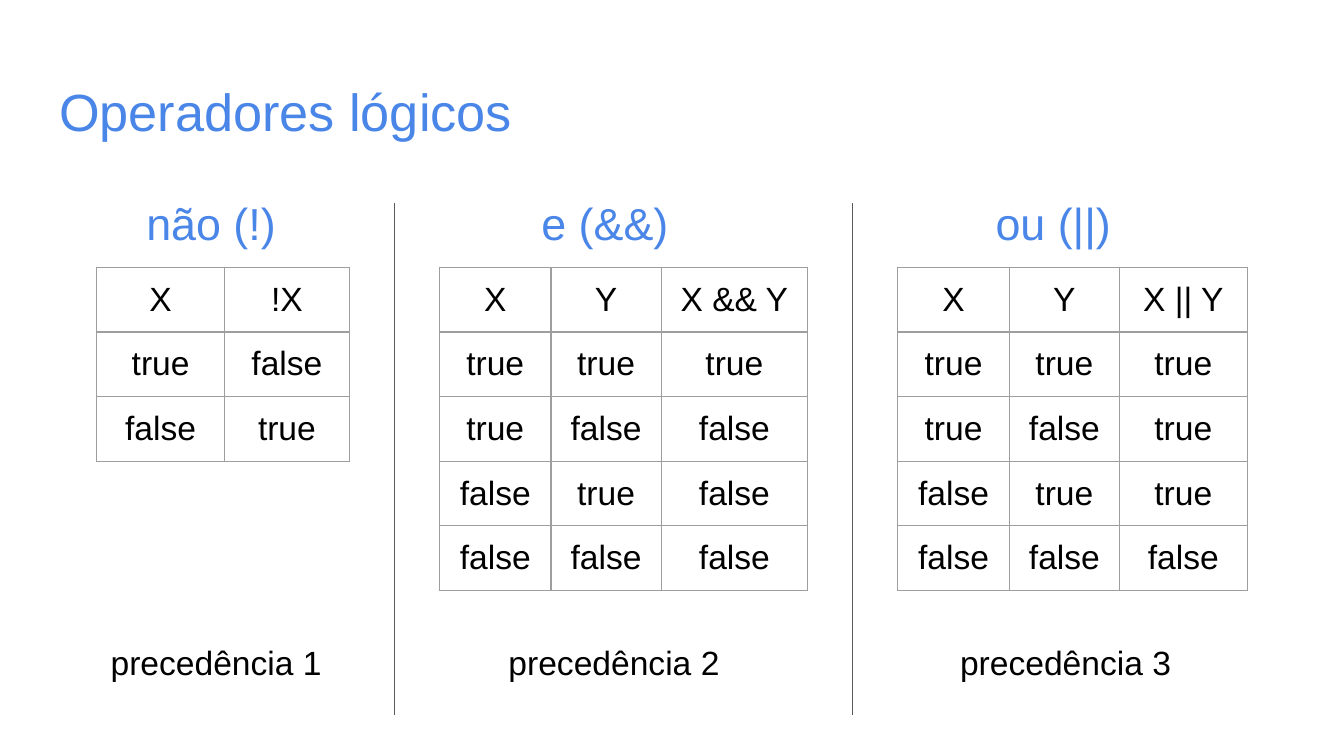
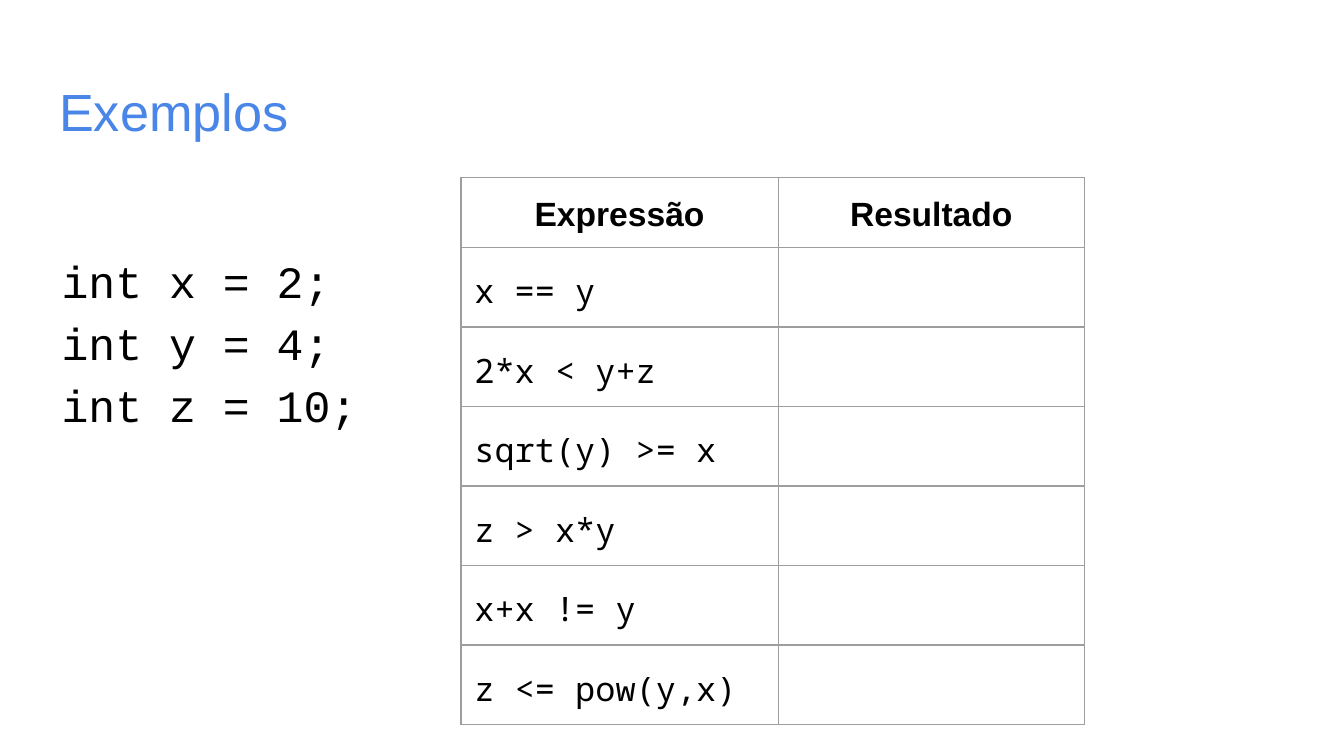
"""Builds two slides on logical operators: truth tables and expressions to evaluate."""
from lxml import etree
from pptx import Presentation
from pptx import util as u
from pptx.dml.color import RGBColor
from pptx.enum import shapes, text
from pptx.oxml.ns import qn

WIDTH = 10
HEIGHT = WIDTH * 9 / 16
INSET, ROW = 0.1, 0.42
BLUE, BLACK, RULE, BORDER = "4A86E8", "000000", "595959", "9E9E9E"
LEFT, CENTER = text.PP_ALIGN.LEFT, text.PP_ALIGN.CENTER

TITLE = {"name": "Arial", "size": 28, "bold": False, "color": BLUE}
HEADING = {**TITLE, "size": 24}
BODY = {**TITLE, "size": 18, "color": BLACK}
HEADER = {**BODY, "bold": True}
CODE = {**BODY, "name": "Courier New", "size": 24}
EXPRESSION = {**BODY, "name": "Noto Sans Mono"}

OPERATORS = [
    {"heading": "não (!)", "width": 1.34, "middle": 1.66, "caption": "precedência 1",
     "columns": [0.95, 0.93],
     "rows": ["X !X".split(), "true false".split(), "false true".split()]},
    {"heading": "e (&&)", "width": 1.38, "middle": 4.62, "caption": "precedência 2",
     "columns": [0.83, 0.82, 1.09],
     "rows": [["X", "Y", "X && Y"], "true true true".split(),
              "true false false".split(), "false true false".split(),
              "false false false".split()]},
    {"heading": "ou (||)", "width": 1.34, "middle": 7.98, "caption": "precedência 3",
     "columns": [0.83, 0.82, 0.95],
     "rows": [["X", "Y", "X || Y"], "true true true".split(),
              "true false true".split(), "false true true".split(),
              "false false false".split()]},
]
DECLARATIONS = ["int x = 2;", "int y = 4;", "int z = 10;"]
EXPRESSIONS = ["x == y", "2*x < y+z", "sqrt(y) >= x", "z > x*y", "x+x != y",
               "z <= pow(y,x)"]


def color(value):
    return RGBColor.from_string(value)


def write(frame, lines, style, align=LEFT, spacing=1.0):
    for index, line in enumerate(lines):
        para = frame.add_paragraph() if index else frame.paragraphs[0]
        para.alignment, para.line_spacing = align, spacing
        span = para.add_run()
        span.text = line
        for name in ("name", "bold"):
            setattr(span.font, name, style[name])
        span.font.size = u.Pt(style["size"])
        span.font.color.rgb = color(style["color"])


def set_margins(target):
    for side in ("left", "top", "right", "bottom"):
        setattr(target, f"margin_{side}", u.Inches(INSET))


def set_frame(frame):
    frame.word_wrap = True
    frame.vertical_anchor = text.MSO_ANCHOR.TOP
    frame.auto_size = text.MSO_AUTO_SIZE.NONE
    set_margins(frame)


def add_page(deck, title):
    page = deck.slides.add_slide(deck.slide_layouts[5])
    box = page.shapes.title
    place = {"left": 0.34, "top": 0.49, "width": 9.32, "height": 0.63}
    for name, value in place.items():
        setattr(box, name, u.Inches(value))
    set_frame(box.text_frame)
    write(box.text_frame, [title], TITLE)
    return page


def add_text(page, place, lines, style, spacing=1.0):
    box = page.shapes.add_textbox(*map(u.Inches, place))
    set_frame(box.text_frame)
    write(box.text_frame, lines, style, spacing=spacing)


def set_borders(cell):
    properties = cell._tc.get_or_add_tcPr()
    for position, side in enumerate(("lnL", "lnR", "lnT", "lnB")):
        line = etree.Element(qn(f"a:{side}"), w=str(u.Pt(0.75)))
        fill = etree.SubElement(line, qn("a:solidFill"))
        etree.SubElement(fill, qn("a:srgbClr"), val=BORDER)
        properties.insert(position, line)


def add_grid(page, left, top, columns, rows, pick_format, spacing=1.0):
    size = (sum(columns), ROW * len(rows))
    table = page.shapes.add_table(len(rows), len(columns),
                                  *map(u.Inches, (left, top, *size))).table
    table.first_row = table.horz_banding = False
    for column, width in zip(table.columns, columns):
        column.width = u.Inches(width)
    for r, values in enumerate(rows):
        table.rows[r].height = u.Inches(ROW)
        for c, value in enumerate(values):
            cell = table.cell(r, c)
            cell.fill.background()
            set_borders(cell)
            set_margins(cell)
            if value:
                style, align = pick_format(r)
                write(cell.text_frame, [value], style, align, spacing)


def add_divider(page, x, top, bottom):
    line = page.shapes.add_connector(shapes.MSO_CONNECTOR.STRAIGHT,
                                     *map(u.Inches, (x, bottom, x, top)))
    line.line.color.rgb = color(RULE)
    line.line.width = u.Pt(0.75)
    etree.SubElement(line._element.spPr, qn("a:effectLst"))


def build_operators(deck):
    page = add_page(deck, "Operadores lógicos")
    left, gap, caption_width = 0.72, 0.67, 1.87
    for index, operator in enumerate(OPERATORS):
        if index:
            add_divider(page, left - gap / 2, 1.51, 5.32)
        add_grid(page, left, 1.99, operator["columns"], operator["rows"],
                 lambda row: (BODY, CENTER))
        for name, width, top, style in (("heading", operator["width"], 1.36, HEADING),
                                        ("caption", caption_width, 4.68, BODY)):
            place = (operator["middle"] - width / 2, top, width, 0.63)
            add_text(page, place, [operator[name]], style)
        left += sum(operator["columns"]) + gap


def build_examples(deck):
    page = add_page(deck, "Exemplos")
    add_text(page, (0.36, 1.73, 2.44, 1.67), DECLARATIONS, CODE, 1.15)
    rows = [["Expressão", "Resultado"]] + [[item, ""] for item in EXPRESSIONS]
    add_grid(page, 3.43, 1.32, [2.36, 2.28], rows,
             lambda row: (EXPRESSION, LEFT) if row else (HEADER, CENTER), 1.15)


def main():
    deck = Presentation()
    deck.slide_width, deck.slide_height = u.Inches(WIDTH), u.Inches(HEIGHT)
    build_operators(deck)
    build_examples(deck)
    deck.save("out.pptx")


main()
